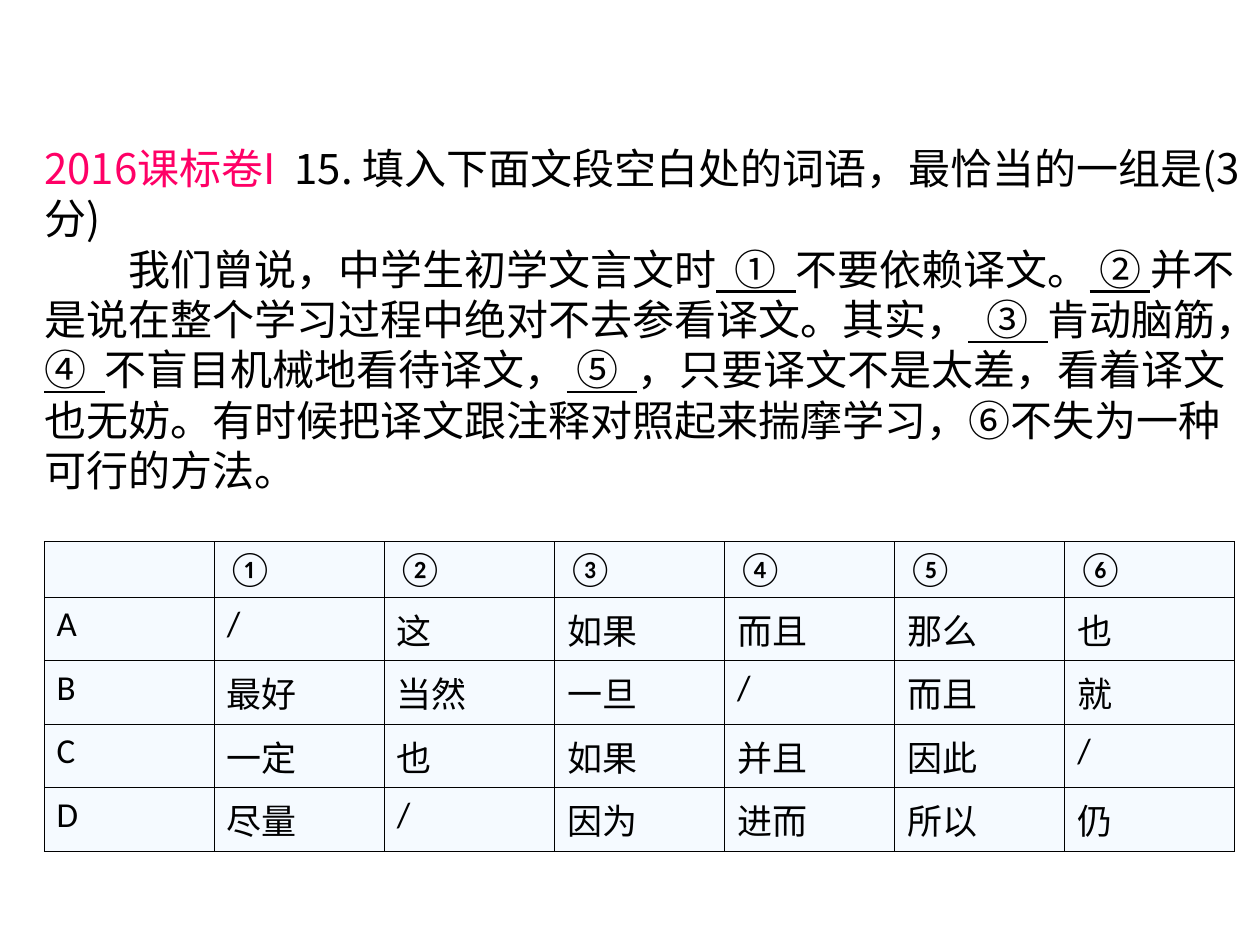
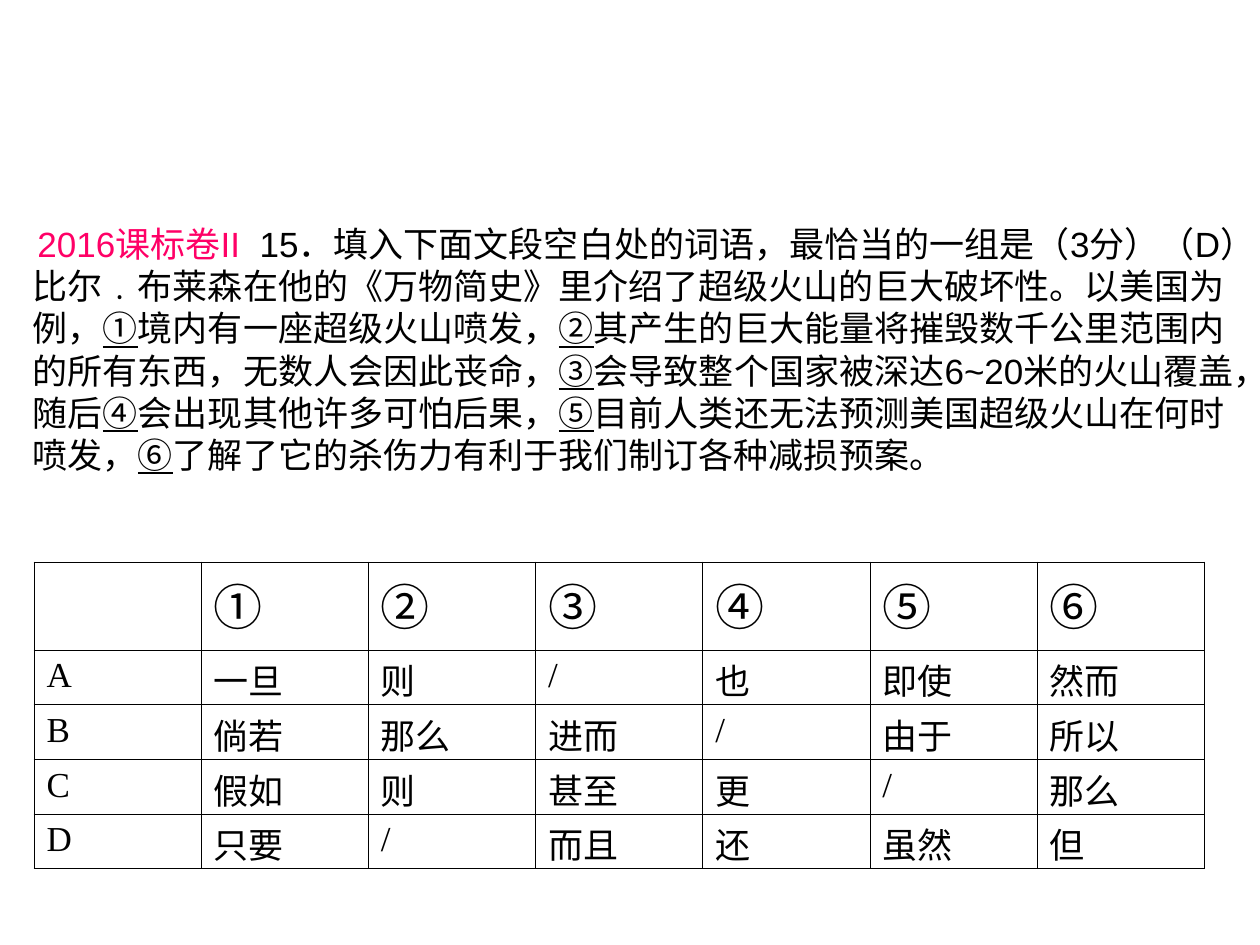
"""Build two exam slides, each with a cloze passage and a table of choices."""
from pptx import Presentation
from pptx.dml.color import RGBColor
from pptx.enum.text import MSO_ANCHOR, MSO_AUTO_SIZE, PP_ALIGN
from pptx.oxml.ns import qn
from pptx.util import Inches, Pt
from lxml import etree

BLACK = RGBColor(0x00, 0x00, 0x00)
PINK = RGBColor(0xFF, 0x00, 0x66)
PALE = RGBColor(0xF5, 0xFA, 0xFF)
HAN = "Noto Sans CJK SC"
LEFT, CENTER = PP_ALIGN.LEFT, PP_ALIGN.CENTER
BOTTOM, MIDDLE = MSO_ANCHOR.BOTTOM, MSO_ANCHOR.MIDDLE
GROW = MSO_AUTO_SIZE.SHAPE_TO_FIT_TEXT
HEAD = ["", "①", "②", "③", "④", "⑤", "⑥"]

PAGES = [
    {
        "tag": "2016课标卷I ",
        "ask": " 15. 填入下面文段空白处的词语，最恰当的一组是(3分)",
        "body": "我们曾说，中学生初学文言文时|  ①  |不要依赖译文。| ② |并不是说在整个学习过程中"
                "绝对不去参看译文。其实，|  ③  |肯动脑筋，| ④  |不盲目机械地看待译文，| ⑤  |，"
                "只要译文不是太差，看着译文也无妨。有时候把译文跟注释对照起来揣摩学习，"
                "⑥不失为一种可行的方法。",
        "box": (0.35, 1.08, 9.65, 2.85), "anchor": BOTTOM, "align": LEFT,
        "indent": 48, "font": HAN, "size": 24,
        "grid": (0.35, 4.3, 9.45), "rows": (0.39, 0.39), "fill": PALE,
        "head": {"font": "Calibri", "han": "Calibri", "size": 20},
        "cell": {"font": "Calibri", "size": 20},
        "tops": (0.05, 0.05), "lead": None,
        "picks": ["A / 这 如果 而且 那么 也", "B 最好 当然 一旦 / 而且 就",
                  "C 一定 也 如果 并且 因此 /", "D 尽量 / 因为 进而 所以 仍"],
    },
    {
        "tag": "2016课标卷II  ",
        "ask": "15．填入下面文段空白处的词语，最恰当的一组是（3分）（D）",
        "body": "比尔﹒布莱森在他的《万物简史》里介绍了超级火山的巨大破坏性。以美国为例，|①|"
                "境内有一座超级火山喷发，|②|其产生的巨大能量将摧毁数千公里范围内的所有东西，"
                "无数人会因此丧命，|③|会导致整个国家被深达6~20米的火山覆盖，随后|④|"
                "会出现其他许多可怕后果，|⑤|目前人类还无法预测美国超级火山在何时喷发，|⑥|"
                "了解了它的杀伤力有利于我们制订各种减损预案。",
        "box": (0.26, 1.55, 9.74, 2.39), "anchor": MIDDLE, "align": CENTER,
        "indent": 0, "font": "Arial", "size": 20,
        "grid": (0.27, 4.46, 9.29), "rows": (0.7, 0.38), "fill": None,
        "head": {"font": HAN, "size": 28},
        "cell": {"font": "Times New Roman", "size": 20},
        "tops": (0.15, 0.1), "lead": 1.2,
        "picks": ["A 一旦 则 / 也 即使 然而", "B 倘若 那么 进而 / 由于 所以",
                  "C 假如 则 甚至 更 / 那么", "D 只要 / 而且 还 虽然 但"],
    },
]


def write(para, text, font=HAN, han=HAN, size=20, color=BLACK, line=False):
    """Add one run of text to a paragraph."""
    run = para.add_run()
    run.text = text
    run.font.name = font
    run.font.size = Pt(size)
    run.font.color.rgb = color
    run.font.underline = line
    etree.SubElement(run.font._element, qn("a:ea"), typeface=han)


def edge(cell):
    """Draw thin black borders around a cell."""
    props = cell._tc.get_or_add_tcPr()
    for side in ("lnL", "lnR", "lnT", "lnB"):
        rule = etree.SubElement(props, qn(f"a:{side}"), w=str(Pt(0.45)))
        fill = etree.SubElement(rule, qn("a:solidFill"))
        etree.SubElement(fill, qn("a:srgbClr"), val=str(BLACK))


def passage(slide, page):
    """Place the question and its passage."""
    frame = slide.shapes.add_textbox(*map(Inches, page["box"])).text_frame
    frame.word_wrap = True
    frame.auto_size = GROW
    frame.vertical_anchor = page["anchor"]
    frame.margin_left = frame.margin_right = frame.margin_bottom = 0
    frame.margin_top = Inches(0.05)
    look = {"font": page["font"], "size": page["size"]}
    ask, body = frame.paragraphs[0], frame.add_paragraph()
    ask.alignment, body.alignment = page["align"], LEFT
    for para in (ask, body):
        para.line_spacing = Pt(page["size"] * 1.2)
    body._p.get_or_add_pPr().set("indent", str(Pt(page["indent"])))
    write(ask, page["tag"], color=PINK, **look)
    write(ask, page["ask"], **look)
    for i, part in enumerate(page["body"].split("|")):
        write(body, part, line=i % 2 == 1, **look)


def choices(slide, page):
    """Place the table of choices."""
    data = [HEAD] + [pick.split() for pick in page["picks"]]
    left, top, width = page["grid"]
    first, rest = page["rows"]
    tall = first + rest * len(page["picks"])
    table = slide.shapes.add_table(
        len(data), len(HEAD), *map(Inches, (left, top, width, tall))).table
    table.first_row = table.horz_banding = False
    for r, row in enumerate(data):
        table.rows[r].height = Inches(rest if r else first)
        look = page["cell"] if r else page["head"]
        for c, text in enumerate(row):
            cell = table.cell(r, c)
            edge(cell)
            if page["fill"]:
                cell.fill.solid()
                cell.fill.fore_color.rgb = page["fill"]
            else:
                cell.fill.background()
            if not text:
                continue
            para = cell.text_frame.paragraphs[0]
            write(para, text, **look)
            if page["lead"] and not text.isascii():
                para.line_spacing = Pt(look["size"] * page["lead"])
                cell.margin_top = Inches(page["tops"][min(r, 1)])
                cell.margin_bottom = 0


def main():
    """Build and save the deck."""
    deck = Presentation()
    deck.slide_width, deck.slide_height = Inches(10), Inches(7.5)
    for page in PAGES:
        slide = deck.slides.add_slide(deck.slide_layouts[6])
        choices(slide, page)
        passage(slide, page)
    deck.save("out.pptx")


if __name__ == "__main__":
    main()
